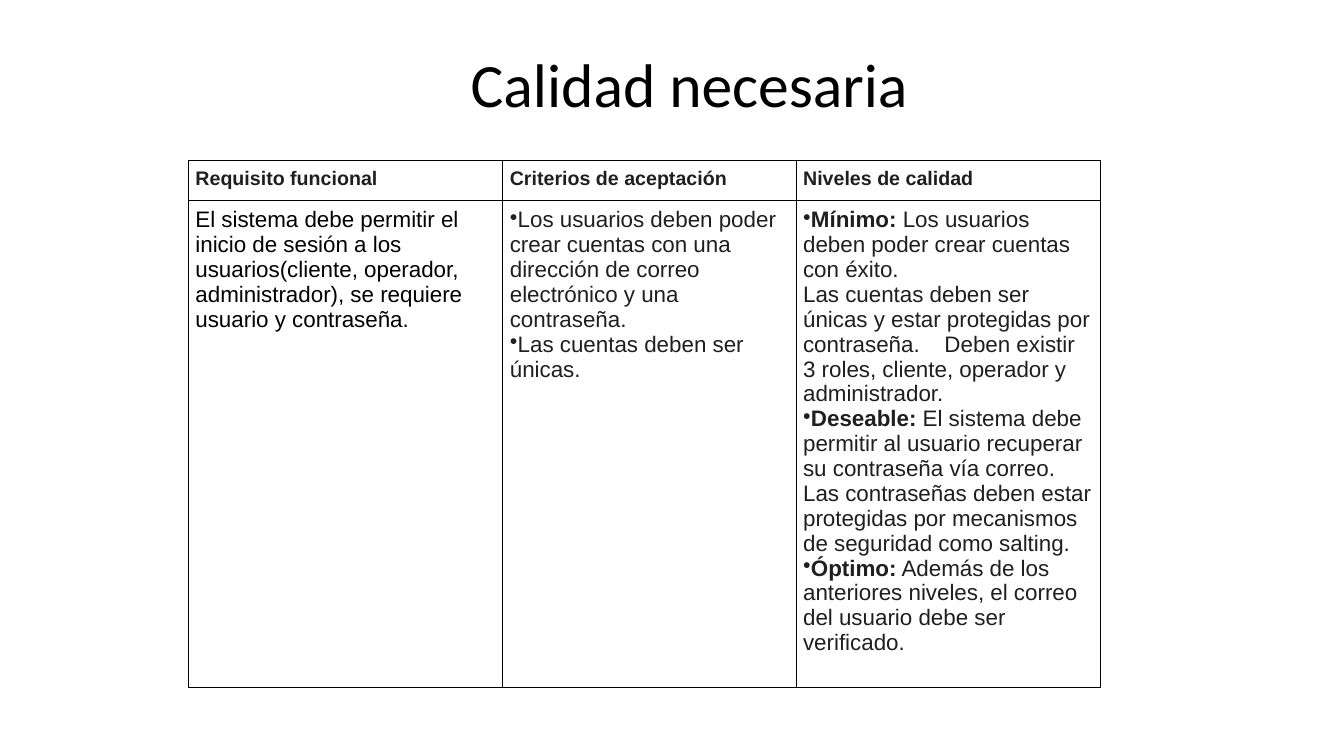
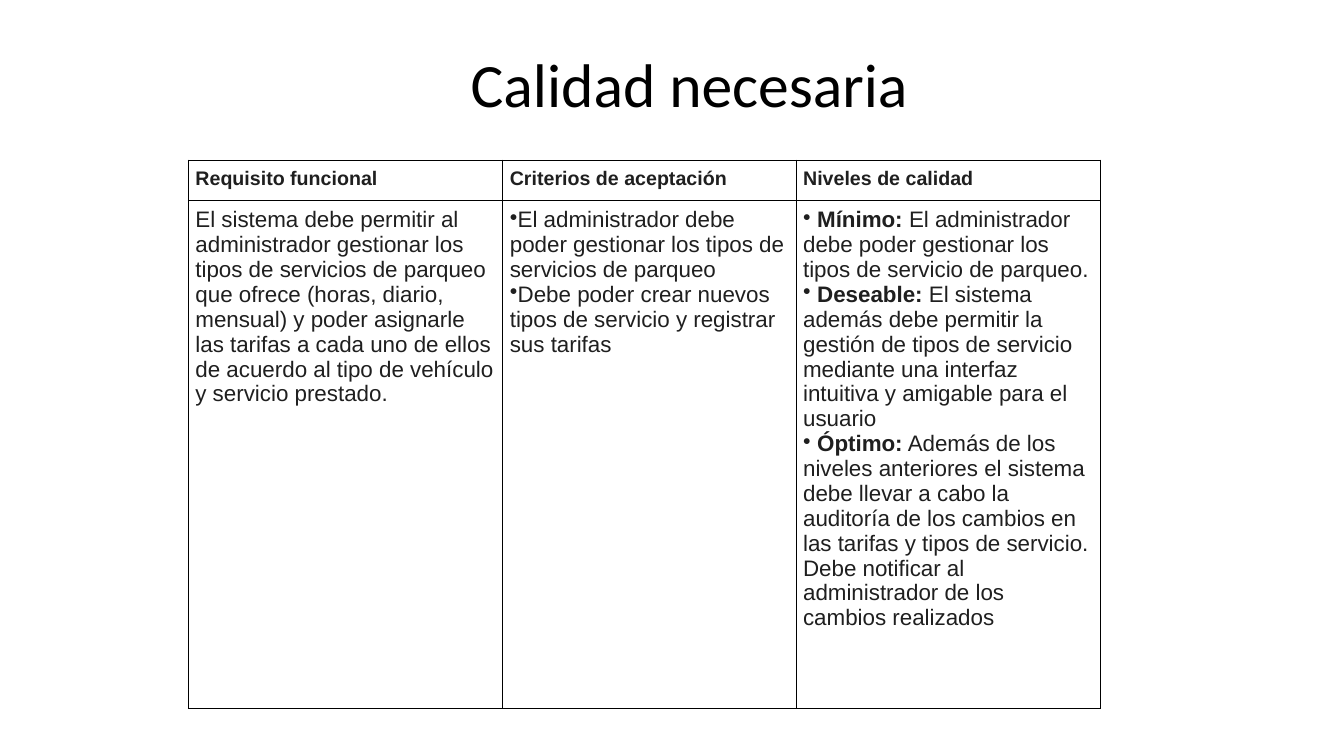
from lxml import etree
from pptx import Presentation
from pptx.dml.color import RGBColor
from pptx.enum import text as t
from pptx.oxml import ns
from pptx.util import Pt

BLACK = RGBColor(0x00, 0x00, 0x00)
INK = RGBColor(0x1F, 0x1F, 0x1F)
WHITE = RGBColor(0xFF, 0xFF, 0xFF)

TITLE = "Calidad necesaria"
HEADERS = ["Requisito funcional", "Criterios de aceptación", "Niveles de calidad"]
COLUMN_WIDTHS = [224.6, 209.5, 217.4]
HEADER_HEIGHT = 28.8
INSET = 5
TAB_STOP = 101

REQUIREMENTS = [
    {
        "height": 348,
        "color": BLACK,
        "requirement": "El sistema debe permitir el inicio de sesión a los usuarios(cliente, operador, administrador), se requiere usuario y contraseña.",
        "criteria": [
            "Los usuarios deben poder crear cuentas con una dirección de correo electrónico y una contraseña.",
            "Las cuentas deben ser únicas.",
        ],
        "levels": [
            ("Mínimo:", " Los usuarios deben poder crear cuentas con éxito.\nLas cuentas deben ser únicas y estar protegidas por contraseña.\tDeben existir 3 roles, cliente, operador y administrador."),
            ("Deseable:", " El sistema debe permitir al usuario recuperar su contraseña vía correo.\nLas contraseñas deben estar protegidas por mecanismos de seguridad como salting."),
            ("Óptimo:", " Además de los anteriores niveles, el correo del usuario debe ser verificado."),
        ],
    },
    {
        "height": 363,
        "color": INK,
        "requirement": "El sistema debe permitir al administrador gestionar los tipos de servicios de parqueo que ofrece (horas, diario, mensual) y poder asignarle las tarifas a cada uno de ellos de acuerdo al tipo de vehículo y servicio prestado.",
        "criteria": [
            "El administrador debe poder gestionar los tipos de servicios de parqueo",
            "Debe poder crear nuevos tipos de servicio y registrar sus tarifas",
        ],
        "levels": [
            (" Mínimo:", " El administrador debe poder gestionar los tipos de servicio de parqueo."),
            (" Deseable:", " El sistema además debe permitir la gestión de tipos de servicio mediante una interfaz intuitiva y amigable para el usuario"),
            (" Óptimo:", " Además de los niveles anteriores el sistema debe llevar a cabo la auditoría de los cambios en las tarifas y tipos de servicio. Debe notificar al administrador de los cambios realizados"),
        ],
    },
]


def write(para, words, size=16, font="Arial", color=INK, bold=False, bullet=False):
    if bullet:
        properties = para._p.get_or_add_pPr()
        properties.set("marL", "0")
        properties.set("indent", "0")
        etree.SubElement(properties, ns.qn("a:buChar"), char="•")
        if "\t" in words:
            tabs = etree.SubElement(properties, ns.qn("a:tabLst"))
            etree.SubElement(tabs, ns.qn("a:tab"), pos=str(Pt(TAB_STOP)), algn="l")
    for index, line in enumerate(words.split("\n")):
        if index:
            para.add_line_break()
        span = para.add_run()
        span.text = line
        span.font.name = font
        span.font.size = Pt(size)
        span.font.bold = bold
        span.font.color.rgb = color


def frame(cell):
    cell.margin_left = cell.margin_right = Pt(INSET)
    cell.margin_top = cell.margin_bottom = Pt(INSET)
    cell.fill.solid()
    cell.fill.fore_color.rgb = WHITE
    properties = cell._tc.get_or_add_tcPr()
    for index, side in enumerate(["lnL", "lnR", "lnT", "lnB"]):
        border = etree.Element(ns.qn("a:" + side), w=str(Pt(1)))
        fill = etree.SubElement(border, ns.qn("a:solidFill"))
        etree.SubElement(fill, ns.qn("a:srgbClr"), val=str(BLACK))
        properties.insert(index, border)


deck = Presentation()
deck.slide_width = Pt(960)
deck.slide_height = Pt(540)

for content in REQUIREMENTS:
    page = deck.slides.add_slide(deck.slide_layouts[5])

    title = page.shapes.title
    title.left, title.top, title.width, title.height = Pt(78.5), Pt(10), Pt(828), Pt(104.4)
    title.text_frame.vertical_anchor = t.MSO_ANCHOR.MIDDLE
    heading = title.text_frame.paragraphs[0]
    heading.alignment = t.PP_ALIGN.CENTER
    heading.line_spacing = 0.9
    write(heading, TITLE, size=44, font="Calibri", color=BLACK)

    table = page.shapes.add_table(
        2, 3, Pt(134.6), Pt(114.5), Pt(sum(COLUMN_WIDTHS)), Pt(HEADER_HEIGHT + content["height"])
    ).table
    table.first_row = False
    table.horz_banding = False
    table.rows[0].height = Pt(HEADER_HEIGHT)
    table.rows[1].height = Pt(content["height"])
    for column, width in zip(table.columns, COLUMN_WIDTHS):
        column.width = Pt(width)
    for cell in table.iter_cells():
        frame(cell)

    for index, header in enumerate(HEADERS):
        write(table.cell(0, index).text_frame.paragraphs[0], header, size=14, bold=True)

    write(table.cell(1, 0).text_frame.paragraphs[0], content["requirement"], color=content["color"])

    criteria = table.cell(1, 1).text_frame
    for index, criterion in enumerate(content["criteria"]):
        para = criteria.add_paragraph() if index else criteria.paragraphs[0]
        write(para, criterion, bullet=True)

    levels = table.cell(1, 2).text_frame
    for index, (label, description) in enumerate(content["levels"]):
        para = levels.add_paragraph() if index else levels.paragraphs[0]
        write(para, label, bold=True)
        write(para, description, bullet=True)

deck.save("out.pptx")
